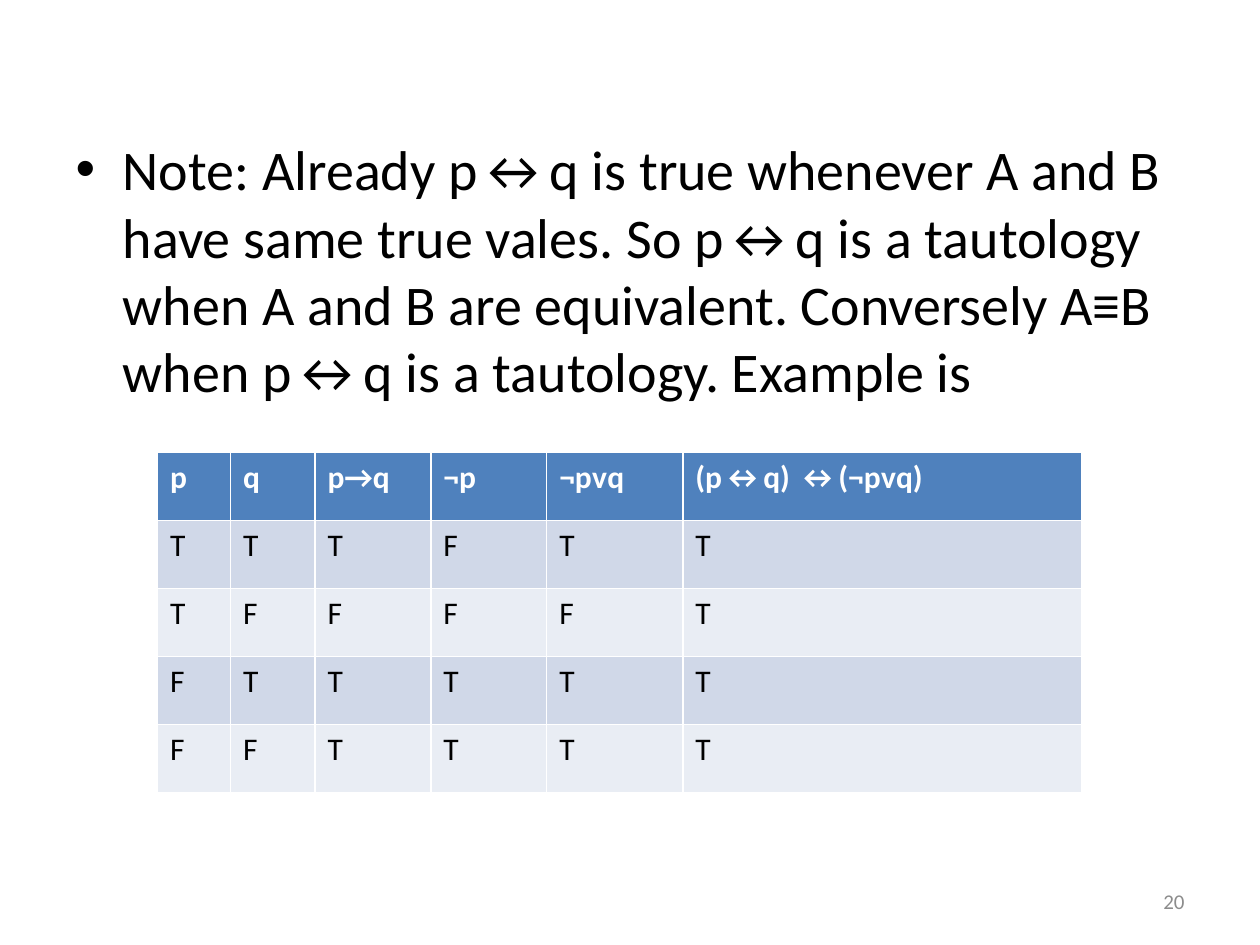
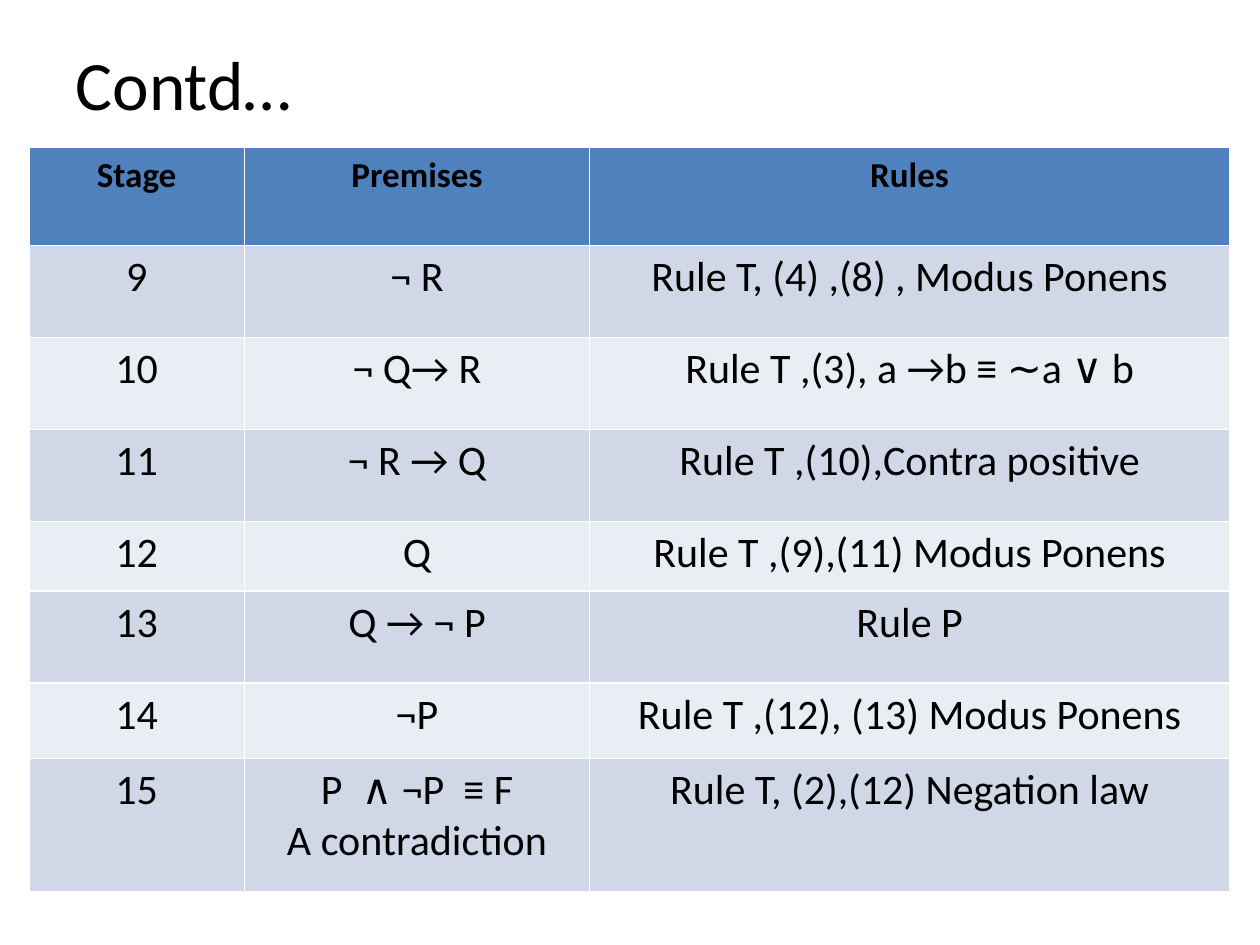
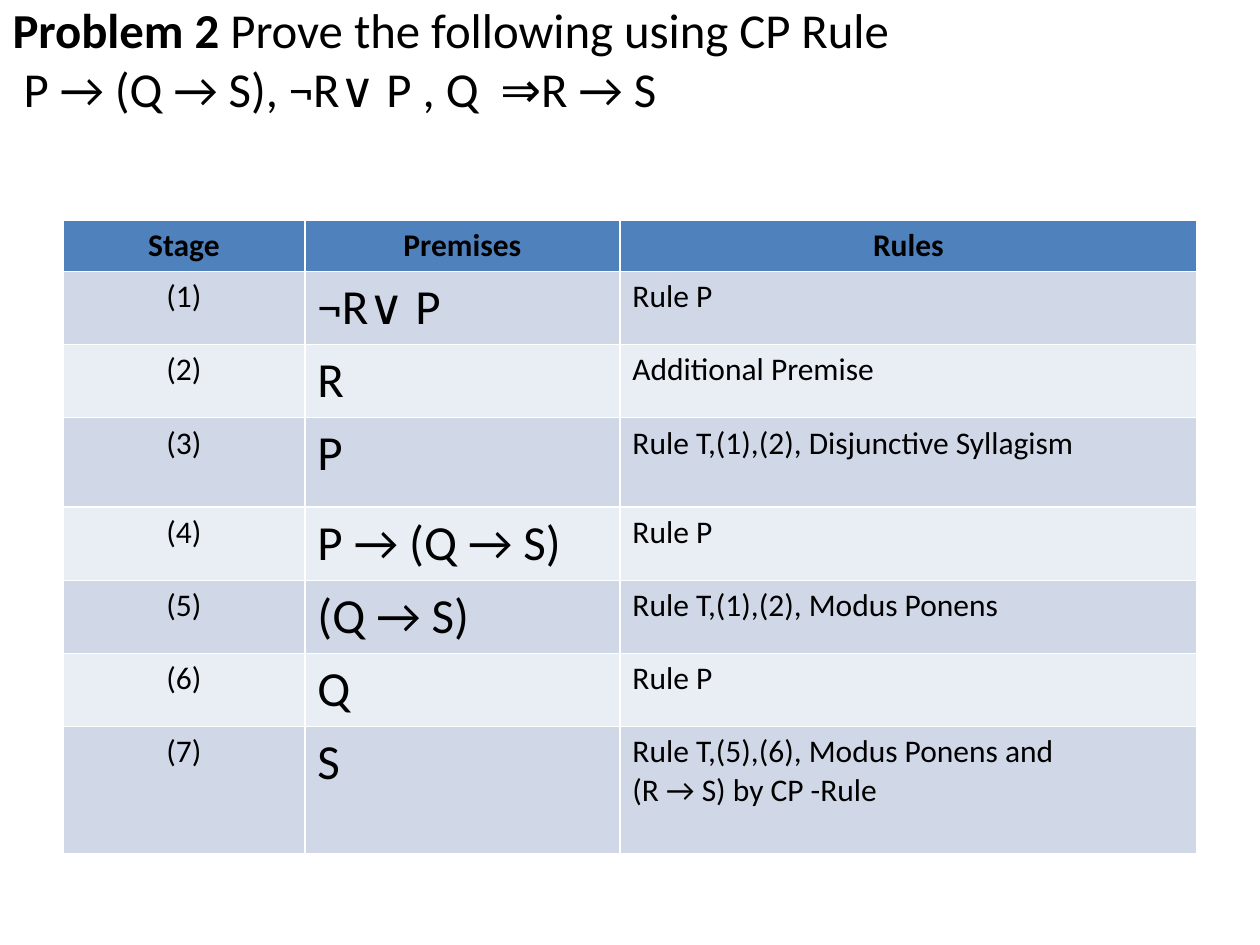
"""Build three slides of logic truth tables and proofs."""
import pptx
import pptx.dml.color
import pptx.enum.text
import pptx.util

Inches = pptx.util.Inches
Align = pptx.enum.text.PP_ALIGN
Anchor = pptx.enum.text.MSO_ANCHOR
BLACK = pptx.dml.color.RGBColor(0x00, 0x00, 0x00)
WHITE = pptx.dml.color.RGBColor(0xFF, 0xFF, 0xFF)
GREY = pptx.dml.color.RGBColor(0x8C, 0x8C, 0x8C)
BLUE = pptx.dml.color.RGBColor(0x4F, 0x81, 0xBD)
BANDS = (pptx.dml.color.RGBColor(0xE9, 0xED, 0xF4),
         pptx.dml.color.RGBColor(0xD0, 0xD8, 0xE8))
FONT = "Calibri"
HEADS = ("Stage", "Premises", "Rules")


def put(frame, text, size=18, color=BLACK, bold=False, align=Align.LEFT, lead=""):
    """Write text into a frame: newlines part paragraphs, \\v breaks lines."""
    def add(para, words, heavy):
        run = para.add_run()
        run.text = words
        run.font.name = FONT
        run.font.size = pptx.util.Pt(size)
        run.font.bold = heavy
        run.font.color.rgb = color

    for num, line in enumerate(text.split("\n")):
        para = frame.add_paragraph() if num else frame.paragraphs[0]
        para.alignment = align
        para.space_before = pptx.util.Pt(0)
        if lead and not num:
            add(para, lead, True)
        for pos, part in enumerate(line.split("\v")):
            if pos:
                para.add_line_break()
            add(para, part, bold)


class Deck:
    """Hold the shared style and the current slide."""

    def __init__(self):
        self.show = pptx.Presentation()
        self.show.slide_width = Inches(10)
        self.show.slide_height = Inches(7.5)
        self.slide = None

    def start(self, layout):
        """Add a slide with the numbered layout."""
        self.slide = self.show.slides.add_slide(self.show.slide_layouts[layout])

    def place(self, shape, box, anchor):
        """Move a text shape and return its frame."""
        shape.left, shape.top, shape.width, shape.height = map(Inches, box)
        frame = shape.text_frame
        frame.word_wrap = True
        frame.auto_size = pptx.enum.text.MSO_AUTO_SIZE.NONE
        frame.vertical_anchor = anchor
        return frame

    def title(self, text, box, size, anchor=Anchor.MIDDLE, lead=""):
        """Fill the title placeholder."""
        frame = self.place(self.slide.shapes.title, box, anchor)
        if anchor == Anchor.TOP:
            frame.margin_top = 0
        put(frame, text, size=size, lead=lead)

    def body(self, text, box):
        """Fill the list placeholder and drop the unused title."""
        title = self.slide.shapes.title.element
        title.getparent().remove(title)
        put(self.place(self.slide.placeholders[1], box, Anchor.TOP), text, size=32)

    def number(self, text):
        """Write the slide number."""
        box = (7.17, 6.95, 2.33, 0.4)
        shape = self.slide.shapes.add_textbox(*map(Inches, box))
        put(self.place(shape, box, Anchor.MIDDLE), text,
            size=12, color=GREY, align=Align.RIGHT)

    def table(self, left, top, cols, highs, rows, head, forms):
        """Draw a banded table; forms gives each column its format."""
        frame = self.slide.shapes.add_table(
            len(rows), len(cols), Inches(left), Inches(top),
            Inches(sum(cols)), Inches(sum(highs)))
        grid = frame.table
        for col, width in zip(grid.columns, cols):
            col.width = Inches(width)
        for num, (row, high, texts) in enumerate(zip(grid.rows, highs, rows)):
            row.height = Inches(high)
            for cell, text, form in zip(row.cells, texts, forms):
                cell.fill.solid()
                cell.fill.fore_color.rgb = BANDS[num % 2] if num else BLUE
                put(cell.text_frame, text, **(form if num else head))


def main():
    """Build the slides and save them."""
    deck = Deck()
    mid = {"align": Align.CENTER}

    deck.start(1)
    deck.body("Note: Already p↔q is true whenever A and B have same true vales. "
              "So p↔q is a tautology when A and B are equivalent. "
              "Conversely A≡B when p↔q is a tautology. Example is",
              (0.5, 1.02, 9, 5.68))
    deck.number("20")
    truth = [("p", "q", "p→q", "¬p", "¬pᴠq", "(p↔q) ↔(¬pᴠq)"),
             "TTTFTT", "TFFFFT", "FTTTTT", "FFTTTT"]
    deck.table(1.25, 3.59, (0.58, 0.67, 0.92, 0.92, 1.08, 3.17), [0.54] * 5,
               truth, {"color": WHITE, "bold": True}, [{}] * 6)

    deck.start(5)
    deck.title("Contd…", (0.5, 0.3, 9, 0.72), 39.6)
    proof = [HEADS,
             ("9", "¬ R", "Rule T, (4) ,(8) , Modus Ponens"),
             ("10", "¬ Q→ R", "Rule T ,(3), a →b ≡ ∼a ∨ b"),
             ("11", "¬ R → Q", "Rule T ,(10),Contra positive"),
             ("12", "Q", "Rule T ,(9),(11) Modus Ponens"),
             ("13", "Q → ¬ P", "Rule P"),
             ("14", "¬P", "Rule T ,(12), (13) Modus Ponens"),
             ("15", "P  ∧ ¬P  ≡ F\nA contradiction", "Rule T, (2),(12) Negation law")]
    deck.table(0.23, 1.17, (1.71, 2.74, 5.08),
               (0.78, 0.73, 0.73, 0.73, 0.55, 0.73, 0.6, 1.06), proof,
               {"size": 20, "bold": True, **mid}, [{"size": 24, **mid}] * 3)

    deck.start(5)
    deck.title(" Prove the following using CP Rule\v P → (Q → S), ¬R∨ P , Q  ⇒R → S",
               (0, 0, 9.77, 1.55), 27.9, Anchor.TOP, "Problem 2")
    steps = [("¬R∨ P", "Rule P"),
             ("R", "Additional Premise"),
             ("P", "Rule T,(1),(2), Disjunctive Syllagism"),
             ("P → (Q → S)", "Rule P"),
             ("(Q → S)", "Rule T,(1),(2), Modus Ponens"),
             ("Q", "Rule P"),
             ("S", "Rule T,(5),(6), Modus Ponens and\n(R → S) by CP -Rule")]
    rows = [HEADS] + [(f"({num})", *step) for num, step in enumerate(steps, 1)]
    deck.table(0.5, 1.75, (1.92, 2.5, 4.58),
               (0.4, 0.58, 0.58, 0.71, 0.58, 0.58, 0.58, 1.01), rows,
               {"bold": True, **mid}, (mid, {"size": 28}, {}))

    deck.show.save("out.pptx")


if __name__ == "__main__":
    main()
